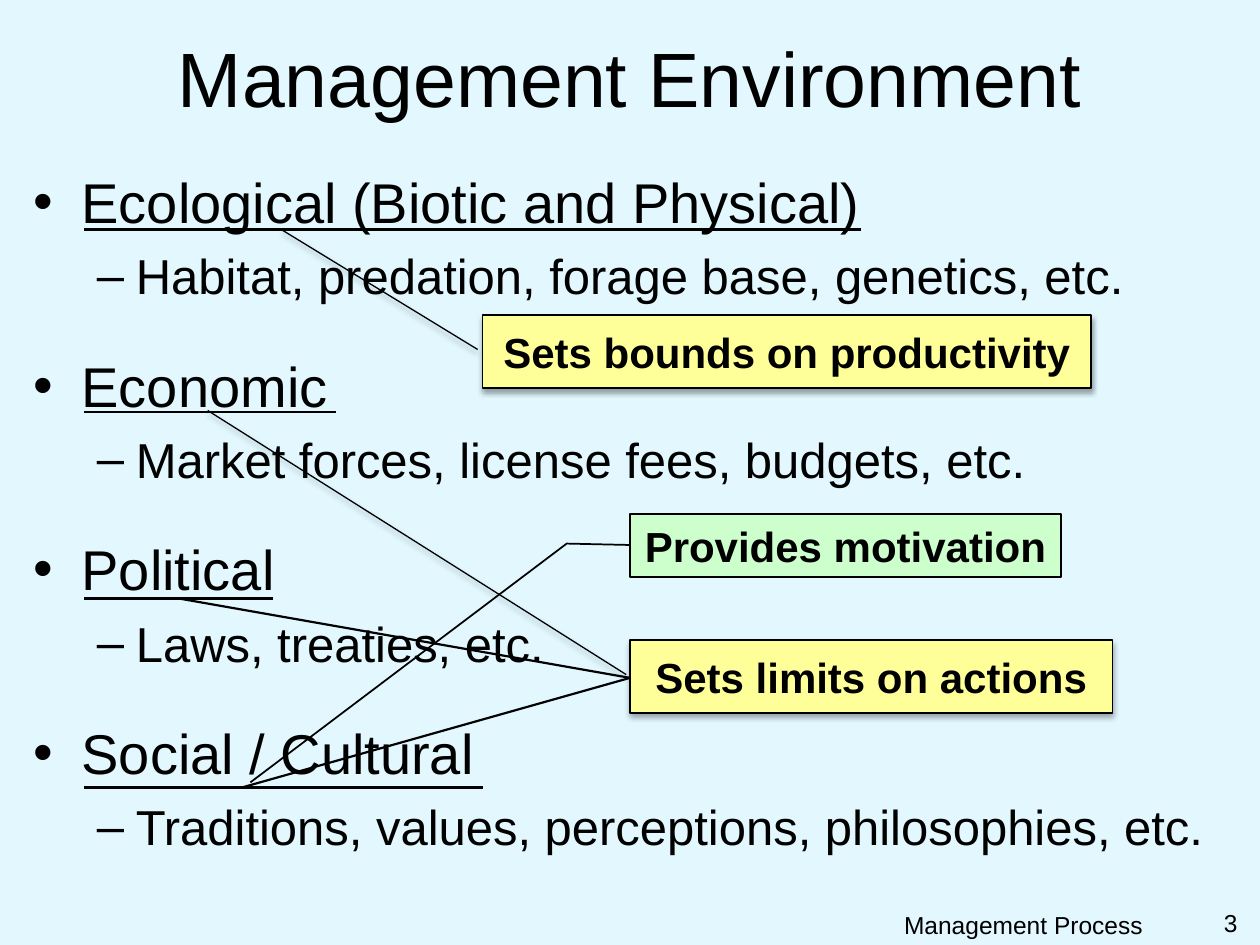
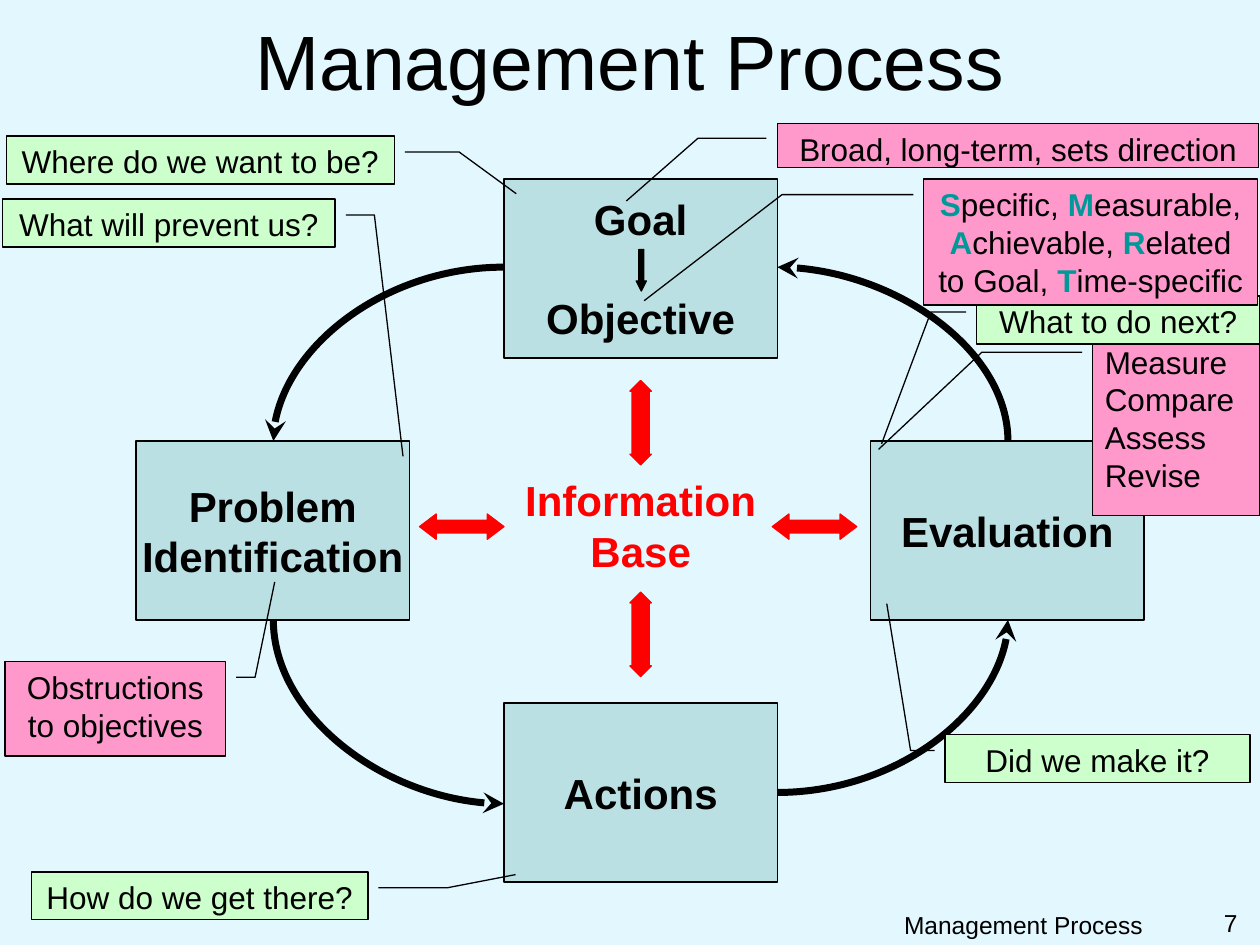
import pptx
import pptx.dml.color
import pptx.enum.shapes
import pptx.enum.text
import pptx.oxml
import pptx.oxml.ns
import pptx.util
from lxml import etree

Inches, Pt = pptx.util.Inches, pptx.util.Pt
SHAPE = pptx.enum.shapes.MSO_SHAPE
LINE = pptx.enum.shapes.MSO_CONNECTOR
ALIGN = pptx.enum.text.PP_ALIGN
ANCHOR = pptx.enum.text.MSO_ANCHOR
qn = pptx.oxml.ns.qn

FONT = "Arial"
COLORS = {
    "background": "E2F7FE", "ink": "000000", "red": "FF0000", "box": "BBE0E3",
    "yellow": "FFFF99", "green": "CCFFCC", "pink": "FF99CC", "initial": "009999",
}
SHADOW = (
    '<a:outerShdw xmlns:a="http://schemas.openxmlformats.org/drawingml/2006/main" '
    'blurRad="39370" dist="22860" dir="5400000" rotWithShape="0">'
    '<a:srgbClr val="000000"><a:alpha val="35000"/></a:srgbClr></a:outerShdw>'
)


def rgb(name):
    return pptx.dml.color.RGBColor.from_string(COLORS[name])


class Deck:
    def __init__(self):
        self.prs = pptx.Presentation()
        self.prs.slide_width, self.prs.slide_height = Inches(10), Inches(7.5)
        self.slide = None

    def new_slide(self, title, title_top, number):
        self.slide = self.prs.slides.add_slide(self.prs.slide_layouts[6])
        fill = self.slide.background.fill
        fill.solid()
        fill.fore_color.rgb = rgb("background")
        self.text((0.07, title_top, 9.86, 0.95), [title], 44, anchor=ANCHOR.MIDDLE)
        self.text((6, 7.17, 3.17, 0.25), ["Management Process"], 14, align=ALIGN.RIGHT)
        self.text((9.25, 7.16, 0.67, 0.34), [str(number)], 14, align=ALIGN.RIGHT)

    def style_run(self, r, size, color="ink", bold=False):
        r.font.name, r.font.size, r.font.bold = FONT, Pt(size), bold
        r.font.color.rgb = rgb(color)

    def set_text(self, sp, lines, size, color="ink", bold=False, align=ALIGN.CENTER,
                 anchor=ANCHOR.TOP, wrap=True):
        tf = sp.text_frame
        tf.text = "\n".join(lines)
        tf.word_wrap, tf.vertical_anchor = wrap, anchor
        for p in tf.paragraphs:
            p.alignment = align
            for r in p.runs:
                self.style_run(r, size, color, bold)

    def text(self, at, lines, size, **style):
        sp = self.slide.shapes.add_textbox(*map(Inches, at))
        self.set_text(sp, lines, size, **style)
        return sp

    def shape(self, kind, at, fill, line="ink", width=0.75, adj=()):
        sp = self.slide.shapes.add_shape(kind, *map(Inches, at))
        sp.shadow.inherit = False
        sp.fill.solid()
        sp.fill.fore_color.rgb = rgb(fill)
        sp.line.color.rgb = rgb(line)
        sp.line.width = Pt(width)
        for i, value in enumerate(adj):
            sp.adjustments[i] = value
        return sp

    def callout(self, at, lines, fill, adj, size=18, width=0.75, shadow=False, **style):
        """Box with a leader of one segment (4 values in adj) or two (6 values)."""
        kind = SHAPE.LINE_CALLOUT_1 if len(adj) == 4 else SHAPE.LINE_CALLOUT_2
        sp = self.shape(kind, at, fill, width=width, adj=adj)
        if shadow:
            effects = sp._element.spPr.find(qn("a:effectLst"))
            effects.append(pptx.oxml.parse_xml(SHADOW))
        self.set_text(sp, lines, size, **style)
        return sp

    def process(self, at, lines):
        sp = self.shape(SHAPE.FLOWCHART_PROCESS, (*at, 2.17, 1.42), "box")
        self.set_text(sp, lines, 24, bold=True, anchor=ANCHOR.MIDDLE, wrap=False)
        return sp

    def line(self, start, end, width, kind=LINE.STRAIGHT):
        c = self.slide.shapes.add_connector(kind, *map(Inches, (*start, *end)))
        c.line.color.rgb = rgb("ink")
        c.line.width = Pt(width)
        etree.SubElement(c._element.spPr, qn("a:effectLst"))
        return c

    def curve(self, start, end, arrow_at):
        """Quarter turn that leaves start horizontally and meets end vertically."""
        c = self.line(start, end, 4, LINE.CURVE)
        c._element.spPr.find(qn("a:prstGeom")).set("prst", "curvedConnector2")
        etree.SubElement(c.line._get_or_add_ln(), qn("a:" + arrow_at), type="stealth")

    def outline(self, at, topics):
        """Bulleted headings, each with one dashed line of examples."""
        levels = [("•", 0.38, -0.38, 32, 26.5), ("–", 0.81, -0.31, 28, 6.4)]
        lines = [line for topic in topics for line in topic]
        sp = self.text(at, lines, 32, align=ALIGN.LEFT)
        for i, p in enumerate(sp.text_frame.paragraphs):
            p.level = i % 2
            mark, left, indent, size, before = levels[p.level]
            p.space_before = Pt(before if i else 0)
            pPr = p._p.get_or_add_pPr()
            pPr.set("marL", str(Inches(left)))
            pPr.set("indent", str(Inches(indent)))
            etree.SubElement(pPr, qn("a:buFont"), typeface=FONT)
            etree.SubElement(pPr, qn("a:buChar"), char=mark)
            p.runs[0].font.size = Pt(size)


def environment_slide(deck):
    deck.new_slide("Management Environment", 0.13, 3)
    deck.outline((0.17, 1.28, 9.67, 5.8), [
        ("Ecological (Biotic and Physical)", "Habitat, predation, forage base, genetics, etc."),
        ("Economic", "Market forces, license fees, budgets, etc."),
        ("Political", "Laws, treaties, etc."),
        ("Social / Cultural", "Traditions, values, perceptions, philosophies, etc."),
    ])
    for y, right in [(1.82, 6.83), (3.27, 2.67), (4.75, 2.17), (6.25, 3.83)]:
        deck.line((0.67, y), (right, y), 1.5)

    strong = dict(size=24, bold=True)
    raised = dict(strong, shadow=True, anchor=ANCHOR.MIDDLE)
    deck.callout((3.83, 2.5, 4.83, 0.58), ["Sets bounds on productivity"], "yellow",
                 (0.472, -0.008, -1.167, -0.33), **raised)
    deck.callout((5, 5.08, 3.83, 0.58), ["Sets limits on actions"], "yellow",
                 (0.472, -0.008, -3.142, -0.875), **raised)
    for topic in [(1.42, 4.75), (1.92, 6.25)]:
        deck.line((5, 5.38), topic, 1.25)
    deck.callout((5, 4.08, 3.42, 0.5), ["Provides motivation"], "green",
                 (0.492, -0.001, 0.47, -0.147, 4.26, -0.881), width=1, **strong)


def process_slide(deck):
    deck.new_slide("Management Process", 0, 7)
    goal = deck.process((4, 1.42), ["Goal", "Objective"])
    goal.text_frame.paragraphs[1].space_before = Pt(28)
    deck.process((4, 5.58), ["Actions"])
    deck.process((1.08, 3.5), ["Problem", "Identification"])
    deck.process((6.91, 3.5), ["Evaluation"])

    deck.text((4.07, 3.72, 2.03, 0.9), ["Information", "Base"], 24, color="red",
              bold=True, wrap=False)
    for y in (3.02, 4.7):
        deck.shape(SHAPE.UP_DOWN_ARROW, (5, y, 0.17, 0.67), "red", "red", adj=(0.5, 0.8))
    for x in (3.33, 6.13):
        deck.shape(SHAPE.LEFT_RIGHT_ARROW, (x, 4.08, 0.67, 0.2), "red", "red",
                   adj=(0.5, 0.66))
    deck.shape(SHAPE.DOWN_ARROW, (5.05, 1.98, 0.08, 0.33), "ink", adj=(0.5, 1))

    deck.curve((6.17, 6.29), (8, 4.92), "tailEnd")
    deck.curve((6.17, 2.12), (8, 3.5), "headEnd")
    deck.curve((4, 2.12), (2.17, 3.5), "tailEnd")
    deck.curve((4, 6.38), (2.17, 4.92), "headEnd")

    deck.callout((6.17, 0.98, 3.82, 0.35), ["Broad, long-term, sets direction"], "pink",
                 (0.333, -0.023, 0.333, -0.165, 1.759, -0.314))
    deck.callout((0.04, 5.25, 1.75, 0.75), ["Obstructions to objectives"], "pink",
                 (0.167, 1.048, 0.167, 1.134, -0.843, 1.223))
    deck.callout((8.67, 2.67, 1.33, 1.42), ["Measure", "Compare", "Assess", "Revise"],
                 "pink", (0.088, -0.062, 0.088, -0.659, 0.631, -1.276), align=ALIGN.LEFT)

    # Each question: left, top, width, then leader start x, bend x, end y, end x
    questions = [
        ("Where do we want to be?", 0.05, 1.08, 3.08, 1.027, 1.167, 1.204, 1.314),
        ("What will prevent us?", 0.02, 1.58, 2.64, 1.032, 1.118, 5.375, 1.204),
        ("Did we make it?", 7.5, 5.83, 2.42, -0.034, -0.113, -2.736, -0.191),
        ("What to do next?", 7.75, 2.35, 2.25, -0.037, -0.161, 3.088, -0.335),
        ("How do we get there?", 0.25, 6.92, 2.67, 1.031, 1.235, 0.056, 1.439),
    ]
    for question, x, y, w, start_x, bend_x, end_y, end_x in questions:
        deck.callout((x, y, w, 0.38), [question], "green",
                     (0.333, start_x, 0.333, bend_x, end_y, end_x))

    smart = deck.callout((7.33, 1.42, 2.65, 1), [""], "pink",
                         (0.125, -0.031, 0.125, -0.424, 0.967, -0.837))
    p = smart.text_frame.paragraphs[0]
    for word in ["Specific, ", "Measurable, ", "Achievable, ", "Related to Goal, ",
                 "Time-specific"]:
        for part, color in [(word[0], "initial"), (word[1:], "ink")]:
            r = p.add_run()
            r.text = part
            deck.style_run(r, 18, color, bold=color == "initial")


def main():
    deck = Deck()
    environment_slide(deck)
    process_slide(deck)
    deck.prs.save("out.pptx")


if __name__ == "__main__":
    main()
